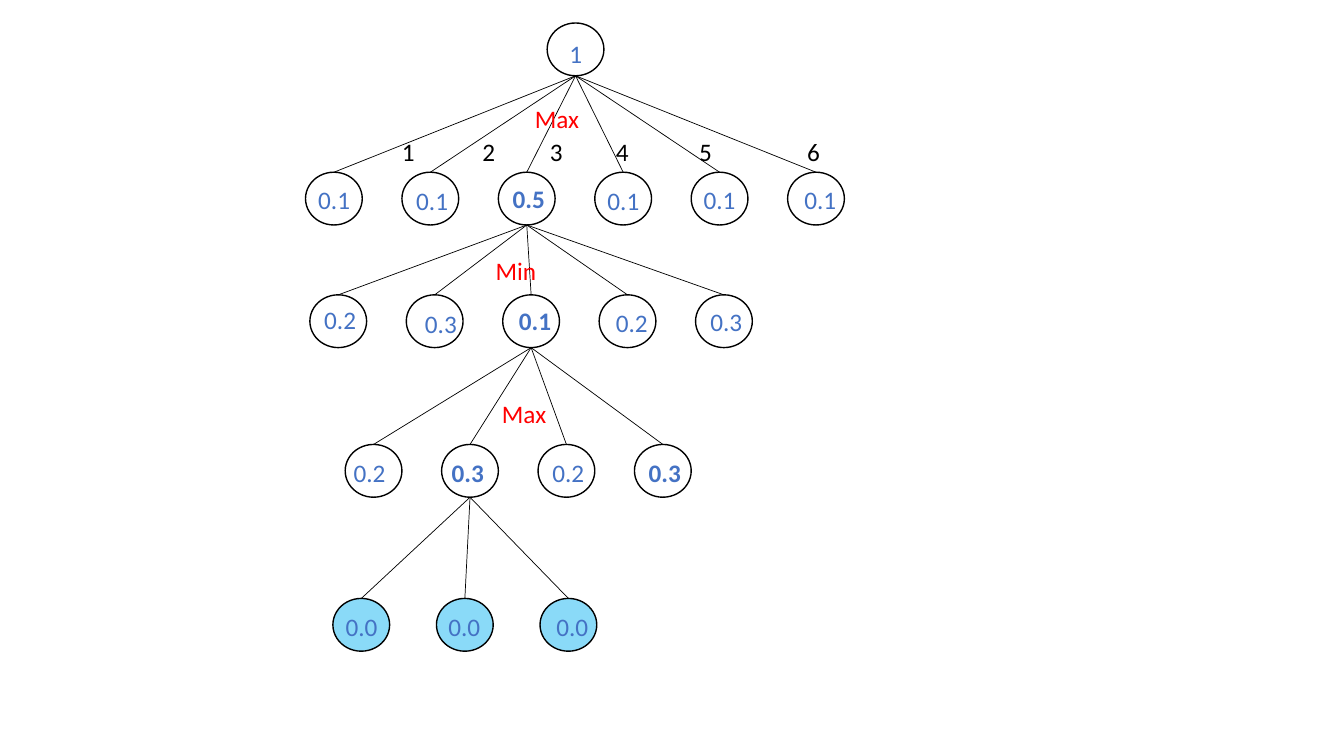
from lxml import etree
from pptx import Presentation
from pptx import util as u
from pptx.dml.color import RGBColor
from pptx.enum import shapes, text
from pptx.oxml.ns import qn

NODE_W, NODE_H = 1.43, 1.33
WIDE = 10.11

# Lengths in cm. Each level: left, top, step, index of the parent in the level
# above, and its values as (text, left, top, width, bold).
LEVELS = [
    (13.79, 0.58, 0, None, [("1", 14.1, 0.84, WIDE, False)]),
    (7.7, 4.34, 2.43, 0, [
        ("0.1", 7.77, 4.52, 2.84, False), ("0.1", 10.24, 4.55, 2.31, False),
        ("0.5", 12.67, 4.5, 1.4, True), ("0.1", 15.06, 4.55, WIDE, False),
        ("0.1", 17.48, 4.52, WIDE, False), ("0.1", 20.02, 4.52, WIDE, False)]),
    (7.81, 7.43, 2.43, 2, [
        ("0.2", 7.92, 7.54, WIDE, False), ("0.3", 10.46, 7.65, WIDE, False),
        ("0.1", 12.83, 7.57, WIDE, True), ("0.2", 15.27, 7.62, WIDE, False),
        ("0.3", 17.65, 7.59, WIDE, False)]),
    (8.7, 11.2, 2.43, 2, [
        ("0.2", 8.66, 11.4, WIDE, False), ("0.3", 11.13, 11.4, WIDE, True),
        ("0.2", 13.67, 11.4, WIDE, False), ("0.3", 16.1, 11.4, WIDE, True)]),
    (8.39, 15.08, 2.61, 1, [
        ("0.0", 8.46, 15.29, 1.45, False), ("0.0", 11.05, 15.29, 1.45, False),
        ("0.0", 13.77, 15.29, 1.45, False)]),
]
MOVE_LEFTS = [9.88, 11.91, 13.61, 15.27, 17.37, 20.09]
TURNS = [("Max", 13.23, 2.49), ("Min", 12.24, 6.3), ("Max", 12.4, 9.91)]


def color(value):
    return RGBColor.from_string(value)


class TreeSlide:
    font, size = "Calibri", 18
    ink, value, turn = "000000", "4472C4", "FF0000"
    node_fill, leaf_fill, leaf_alpha = "FFFFFF", "00B0F0", 46

    def __init__(self, prs):
        self.s = prs.slides.add_slide(prs.slide_layouts[6])

    def node(self, x, y, leaf=False):
        sp = self.s.shapes.add_shape(shapes.MSO_SHAPE.OVAL, u.Cm(x), u.Cm(y),
                                     u.Cm(NODE_W), u.Cm(NODE_H))
        sp.shadow.inherit = False
        sp.fill.solid()
        sp.fill.fore_color.rgb = color(self.leaf_fill if leaf else self.node_fill)
        if leaf:
            rgb = sp.fill._xPr.find(".//" + qn("a:srgbClr"))
            etree.SubElement(rgb, qn("a:alpha"), val=str(self.leaf_alpha * 1000))
        sp.line.color.rgb = color(self.ink)
        sp.line.width = u.Pt(1)

    def edge(self, child, parent):
        """Join the top of the child to the bottom of its parent."""
        (x1, y1), (x2, y2) = child, parent
        mid = NODE_W / 2
        line = self.s.shapes.add_connector(
            shapes.MSO_CONNECTOR.STRAIGHT, u.Cm(x1 + mid), u.Cm(y1),
            u.Cm(x2 + mid), u.Cm(y2 + NODE_H))
        line.line.color.rgb = color(self.ink)
        line.line.width = u.Pt(0.5)
        etree.SubElement(line._element.spPr, qn("a:effectLst"))

    def label(self, words, x, y, width, ink, bold=False):
        box = self.s.shapes.add_textbox(u.Cm(x), u.Cm(y), u.Cm(width), u.Cm(1.03))
        tf = box.text_frame
        tf.word_wrap = True
        tf.auto_size = text.MSO_AUTO_SIZE.SHAPE_TO_FIT_TEXT
        r = tf.paragraphs[0].add_run()
        r.text = words
        r.font.name, r.font.size, r.font.bold = self.font, u.Pt(self.size), bold
        r.font.color.rgb = color(ink)


def main():
    prs = Presentation()
    prs.slide_width, prs.slide_height = u.Cm(33.87), u.Cm(19.05)
    tree = TreeSlide(prs)

    above = []
    for left, top, step, parent, values in LEVELS:
        nodes = [(left + i * step, top) for i in range(len(values))]
        for x, y in nodes:
            tree.node(x, y, leaf=values is LEVELS[-1][-1])
        if parent is not None:
            for child in nodes:
                tree.edge(child, above[parent])
        for words, x, y, width, bold in values:
            tree.label(words, x, y, width, tree.value, bold)
        above = nodes

    for number, x in enumerate(MOVE_LEFTS, 1):
        tree.label(str(number), x, 3.3, 1.3, tree.ink)
    for words, x, y in TURNS:
        tree.label(words, x, y, 2.84, tree.turn)

    prs.save("out.pptx")


if __name__ == "__main__":
    main()
